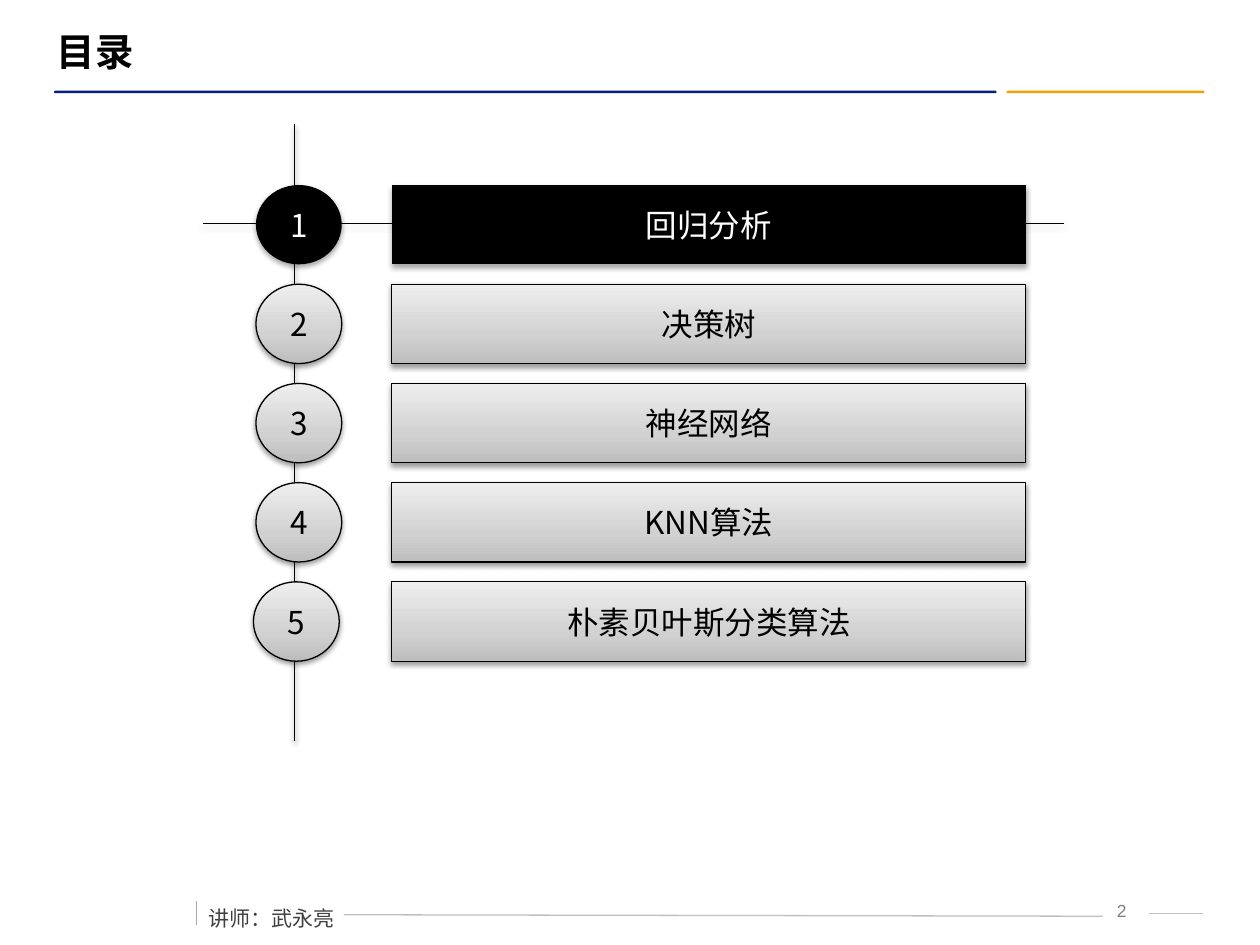
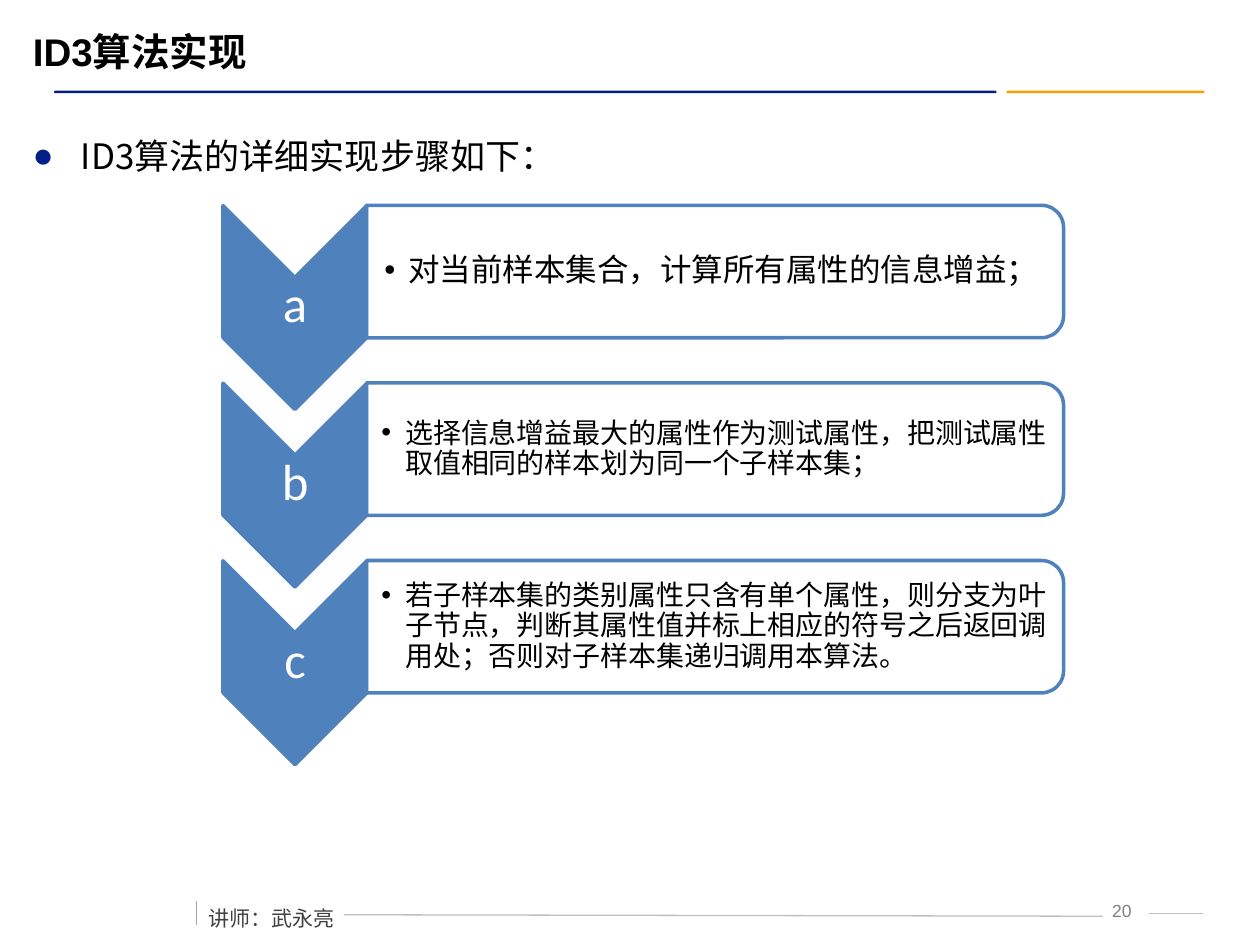
import copy

import pptx
import pptx.dml.color
import pptx.enum.shapes
import pptx.enum.text
import pptx.oxml.ns
import pptx.util
from lxml import etree

Cm = pptx.util.Cm
Pt = pptx.util.Pt
RGBColor = pptx.dml.color.RGBColor
SHAPE = pptx.enum.shapes.MSO_SHAPE
ALIGN = pptx.enum.text.PP_ALIGN
MIDDLE = pptx.enum.text.MSO_ANCHOR.MIDDLE
qn = pptx.oxml.ns.qn

# Shared colours and fonts
BLACK = RGBColor(0x00, 0x00, 0x00)
WHITE = RGBColor(0xFF, 0xFF, 0xFF)
NAVY = RGBColor(0x03, 0x1D, 0x89)
BULLET_NAVY = RGBColor(0x03, 0x20, 0x89)
ORANGE = RGBColor(0xF5, 0xA0, 0x00)
STEEL = RGBColor(0x4F, 0x81, 0xBD)
RULE_GREY = RGBColor(0xBF, 0xBF, 0xBF)
TICK_GREY = RGBColor(0xA6, 0xA6, 0xA6)
NUMBER_GREY = RGBColor(0x7F, 0x7F, 0x7F)
LECTURER_GREY = RGBColor(0x40, 0x40, 0x40)
GREY_STOPS = [
    (0, RGBColor(0xBD, 0xBD, 0xBD)),
    (0.35, RGBColor(0xD1, 0xD1, 0xD1)),
    (1, RGBColor(0xEE, 0xEE, 0xEE)),
]
CJK = "Noto Sans CJK SC"

TOPICS = ["回归分析", "决策树", "神经网络", "KNN算法", "朴素贝叶斯分类算法"]
# Letter, text, text size, left inset in cm
STEPS = [
    ("a", "对当前样本集合，计算所有属性的信息增益；", 18, 0.36),
    ("b", "选择信息增益最大的属性作为测试属性，把测试属性"
          "取值相同的样本划为同一个子样本集；", 16, 0.3),
    ("c", "若子样本集的类别属性只含有单个属性，则分支为叶"
          "子节点，判断其属性值并标上相应的符号之后返回调"
          "用处；否则对子样本集递归调用本算法。", 16, 0.3),
]


# Text
def write(shape, text, size, color, font=CJK, align=ALIGN.LEFT, bold=False):
    p = shape.text_frame.paragraphs[0]
    p.text = text
    p.alignment = align
    p.font.size = Pt(size)
    p.font.bold = bold
    p.font.name = font
    p.font.color.rgb = color
    ea = etree.SubElement(p._p.pPr.find(qn("a:defRPr")), qn("a:ea"))
    ea.set("typeface", CJK)
    return p


def add_text(slide, box, text, size, color, margins=None, wrap=True, **style):
    tb = slide.shapes.add_textbox(*map(Cm, box))
    tf = tb.text_frame
    tf.word_wrap = wrap
    if margins:
        tf.vertical_anchor = MIDDLE
        tf.margin_left, tf.margin_top, tf.margin_right, tf.margin_bottom = map(Cm, margins)
    return write(tb, text, size, color, **style)


def add_bullet(p, char, indent, color=None):
    pPr = p._p.get_or_add_pPr()
    pPr.set("marL", str(Cm(indent)))
    pPr.set("indent", str(-Cm(indent)))
    end = pPr.find(qn("a:defRPr"))
    if color is not None:
        bu_clr = etree.Element(qn("a:buClr"))
        etree.SubElement(bu_clr, qn("a:srgbClr")).set("val", str(color))
        end.addprevious(bu_clr)
    for tag, key, value in (("a:buFont", "typeface", "Arial"), ("a:buChar", "char", char)):
        bu = etree.Element(qn(tag))
        bu.set(key, value)
        end.addprevious(bu)


# Shapes and lines
def add_shape(slide, kind, box, fill=None, line=None, width=0.75):
    sp = slide.shapes.add_shape(kind, *map(Cm, box))
    sp.shadow.inherit = False
    if fill is not None:
        sp.fill.solid()
        sp.fill.fore_color.rgb = fill
    if line is None:
        sp.line.fill.background()
    else:
        sp.line.color.rgb = line
        sp.line.width = Pt(width)
    return sp


def add_line(slide, x1, y1, x2, y2, color):
    line = slide.shapes.add_connector(
        pptx.enum.shapes.MSO_CONNECTOR.STRAIGHT, *map(Cm, (x1, y1, x2, y2)))
    line.line.color.rgb = color
    line.line.width = Pt(0.75)
    etree.SubElement(line._element.spPr, qn("a:effectLst"))
    return line


def add_shadow(shape, distance=1.6, opacity=38):
    effects = shape._element.spPr.find(qn("a:effectLst"))
    shadow = etree.SubElement(effects, qn("a:outerShdw"), blurRad=str(Pt(3.1)),
                              dist=str(Pt(distance)), dir="5400000", rotWithShape="0")
    color = etree.SubElement(shadow, qn("a:srgbClr"), val=str(BLACK))
    etree.SubElement(color, qn("a:alpha"), val=str(opacity * 1000))


def fill_grey_gradient(shape):
    shape.fill.gradient()
    shape.fill.gradient_angle = 90
    stops = shape._element.spPr.find(".//" + qn("a:gsLst"))
    stops.insert(1, copy.deepcopy(stops[0]))
    for stop, (position, color) in zip(shape.fill.gradient_stops, GREY_STOPS):
        stop.position = position
        stop.color.rgb = color


# Title, band and footer of every slide
def add_framed_slide(prs, title, number, title_left):
    slide = prs.slides.add_slide(prs.slide_layouts[5])
    for left, width, color in ((20.29, 3.99, ORANGE), (1.09, 19, NAVY)):
        band = add_shape(slide, SHAPE.ROUNDED_RECTANGLE, (left, 1.83, width, 0.05), color)
        band.adjustments[0] = 0.5

    add_text(slide, (22.02, 18.01, 1.19, 0.64), str(number), 10, NUMBER_GREY,
             font="Arial", align=ALIGN.CENTER)
    add_line(slide, 6.93, 18.44, 22.23, 18.47, RULE_GREY)
    add_line(slide, 23.16, 18.42, 24.26, 18.42, RULE_GREY)
    add_line(slide, 3.96, 18.16, 3.96, 18.64, TICK_GREY)
    p = add_text(slide, (3.96, 17.88, 3.07, 0.91), "讲师：武永亮", 12, LECTURER_GREY, wrap=False)
    p.line_spacing = 1.5
    p.space_before = Pt(6)

    sp = slide.shapes.title
    sp.left, sp.top, sp.width, sp.height = map(Cm, (title_left, 0.43, 23.5 - title_left, 1.19))
    sp.text_frame.vertical_anchor = MIDDLE
    write(sp, title, 22, BLACK, font="Arial", bold=True)
    return slide


# Agenda
def add_agenda_item(slide, kind, box, text, current):
    if current:
        sp = add_shape(slide, kind, box, BLACK)
        add_shadow(sp, 1.8, 35)
    else:
        sp = add_shape(slide, kind, box, line=BLACK)
        fill_grey_gradient(sp)
        add_shadow(sp)
    sp.text_frame.word_wrap = False
    sp.text_frame.vertical_anchor = MIDDLE
    write(sp, text, 18, WHITE if current else BLACK, align=ALIGN.CENTER)


def build_agenda(prs):
    slide = add_framed_slide(prs, "目录", 2, 0.89)
    add_shadow(add_line(slide, 5.94, 2.51, 5.94, 14.94, BLACK))
    add_shadow(add_line(slide, 4.09, 4.5, 21.44, 4.5, BLACK))
    for i, topic in enumerate(TOPICS):
        top = 3.73 + 2 * i
        left = 5.11 if i == len(TOPICS) - 1 else 5.16
        add_agenda_item(slide, SHAPE.OVAL, (left, top, 1.73, 1.6), str(i + 1), i == 0)
        add_agenda_item(slide, SHAPE.ACTION_BUTTON_CUSTOM, (7.9, top, 12.78, 1.6), topic, i == 0)


# Steps of the algorithm
def add_step(slide, offset, letter, text, size, inset):
    chevron = add_shape(slide, SHAPE.CHEVRON, (3.89, 4.75 + offset, 4.11, 2.9), STEEL, STEEL, 2)
    panel = add_shape(slide, SHAPE.ROUND_2_SAME_RECTANGLE,
                      (13.08, -1.55 + offset, 2.67, 14.05), WHITE, STEEL, 2)
    chevron.rotation = panel.rotation = 90
    white = panel._element.spPr.find(qn("a:solidFill"))[0]
    etree.SubElement(white, qn("a:alpha"), val="90000")

    p = add_text(slide, (4.5, 5.56 + offset, 2.9, 1.24), letter, 29, WHITE,
                 margins=(0.05,) * 4, font="Calibri", align=ALIGN.CENTER)
    p.line_spacing = 0.9
    p = add_text(slide, (7.39, 4.27 + offset, 13.92, 2.41), text, size, BLACK,
                 margins=(inset, 0.03, 0.03, 0.03))
    p.line_spacing = 0.9
    add_bullet(p, "•", 0.48)


def build_steps(prs):
    slide = add_framed_slide(prs, "ID3算法实现", 20, 0.41)
    p = add_text(slide, (0.41, 2.16, 23.85, 3.58), "ID3算法的详细实现步骤如下：", 20, BLACK)
    p.line_spacing = 1.5
    p.space_before = Pt(4)
    add_bullet(p, "●", 0.97, BULLET_NAVY)
    for i, step in enumerate(STEPS):
        add_step(slide, 3.58 * i, *step)


def main():
    prs = pptx.Presentation()
    prs.slide_width, prs.slide_height = Cm(25.4), Cm(19.05)
    build_agenda(prs)
    build_steps(prs)
    prs.save("out.pptx")


if __name__ == "__main__":
    main()
